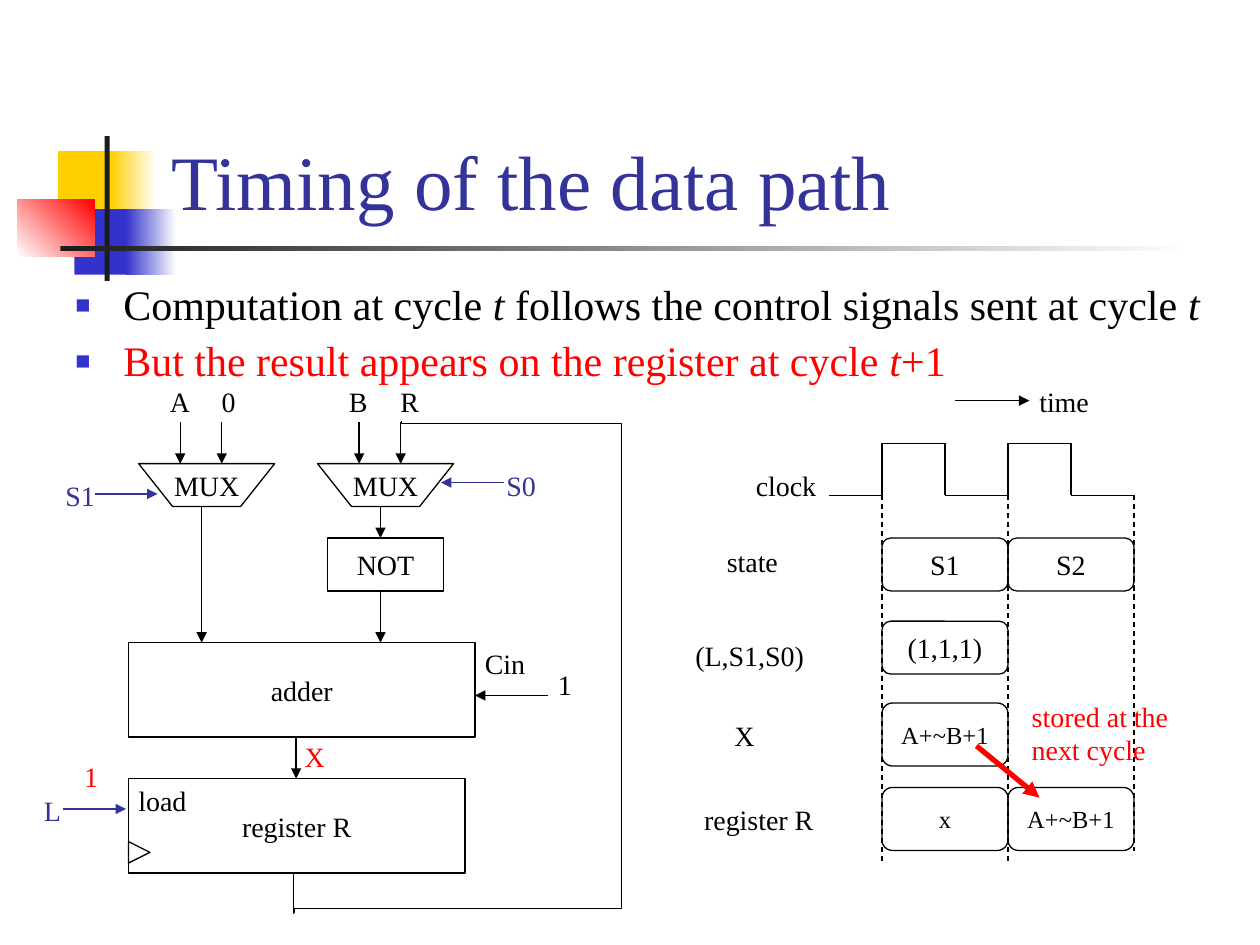
from dataclasses import dataclass
from lxml.etree import SubElement
from pptx import Presentation
from pptx.dml.color import RGBColor
from pptx.enum.dml import MSO_LINE
from pptx.enum.shapes import MSO_CONNECTOR, MSO_SHAPE
from pptx.enum.text import MSO_ANCHOR, MSO_AUTO_SIZE, PP_ALIGN
from pptx.oxml.ns import qn
from pptx.util import Emu, Pt

SCALE = 9144
SPARE = 6


@dataclass(frozen=True)
class Theme:
    font: str = "Times New Roman"
    black: str = "000000"
    white: str = "FFFFFF"
    navy: str = "333399"
    blue: str = "3333CC"
    red: str = "FF0000"
    gold: str = "FFCF01"
    dark: str = "1C1C1C"
    title: int = 44
    body: int = 24
    label: int = 16
    small: int = 14
    thin: float = 0.75
    thick: float = 3


THEME = Theme()


def px(*nums):
    return [Emu(num * SCALE) for num in nums]


def rgb(code):
    return RGBColor.from_string(code)


def add_run(para, text, size, color, slant=False):
    run = para.add_run()
    run.text = text
    font = run.font
    font.name, font.size, font.italic = THEME.font, Pt(size), slant
    font.color.rgb = rgb(color)


def add_label(shapes, box, lines, color=THEME.black, size=THEME.label):
    left, top, width, high = box
    frame = shapes.add_textbox(*px(left, top, width + SPARE, high)).text_frame
    frame.word_wrap = True
    frame.auto_size = MSO_AUTO_SIZE.SHAPE_TO_FIT_TEXT
    for num, text in enumerate(lines):
        para = frame.add_paragraph() if num else frame.paragraphs[0]
        add_run(para, text, size, color)


def add_tag(shapes, left, top, width, text, color=THEME.black):
    add_label(shapes, (left, top, width, 37), [text], color)


def add_line(shapes, ends, color=THEME.black, width=THEME.thin,
             arrow=False, dash=False, kind=MSO_CONNECTOR.STRAIGHT):
    link = shapes.add_connector(kind, *px(*ends))
    link.line.color.rgb = rgb(color)
    link.line.width = Pt(width)
    if dash:
        link.line.dash_style = MSO_LINE.DASH
    props = link._element.spPr
    if arrow:
        SubElement(props.find(qn("a:ln")), qn("a:tailEnd"), type="triangle")
    SubElement(props, qn("a:effectLst"))
    return link


def add_loop(shapes, ends, turns):
    link = add_line(shapes, ends, kind=MSO_CONNECTOR.ELBOW)
    props = link._element.spPr
    props.find(qn("a:xfrm")).set("rot", "5400000")
    geom = props.find(qn("a:prstGeom"))
    geom.set("prst", "bentConnector5")
    guides = geom.find(qn("a:avLst"))
    for num, turn in enumerate(turns, 1):
        SubElement(guides, qn("a:gd"), name=f"adj{num}", fmla=f"val {turn}")


def style_box(shape, text="", size=THEME.label):
    shape.shadow.inherit = False
    shape.fill.background()
    shape.line.color.rgb = rgb(THEME.black)
    shape.line.width = Pt(THEME.thin)
    if text:
        frame = shape.text_frame
        frame.word_wrap = False
        frame.vertical_anchor = MSO_ANCHOR.MIDDLE
        para = frame.paragraphs[0]
        para.alignment = PP_ALIGN.CENTER
        add_run(para, text, size, THEME.black)


def add_box(shapes, box, text="", size=THEME.label, kind=MSO_SHAPE.RECTANGLE):
    shape = shapes.add_shape(kind, *px(*box))
    style_box(shape, text, size)
    return shape


def add_mux(shapes, left):
    pen = shapes.build_freeform(left, 368, SCALE)
    pen.add_line_segments([(left + 27, 402), (left + 81, 402), (left + 108, 368)])
    style_box(pen.convert_to_shape(), "MUX")


def add_block(shapes, box, first, last=None, angle=0):
    shape = shapes.add_shape(MSO_SHAPE.RECTANGLE, *px(*box))
    shape.shadow.inherit = False
    shape.line.fill.background()
    if last is None:
        shape.fill.solid()
        shape.fill.fore_color.rgb = rgb(first)
        return
    shape.fill.gradient()
    shape.fill.gradient_angle = angle
    for stop, color, spot in zip(shape.fill.gradient_stops, (first, last), (0, 1)):
        stop.color.rgb = rgb(color)
        stop.position = spot


def add_decor(shapes):
    t = THEME
    add_block(shapes, (46, 120, 48, 52), t.gold)
    add_block(shapes, (88, 120, 36, 52), t.gold, t.white)
    add_block(shapes, (59, 166, 46, 52), t.blue)
    add_block(shapes, (100, 166, 40, 52), t.blue, t.white)
    add_block(shapes, (14, 158, 61, 46), t.white, t.red, 45)
    add_block(shapes, (83, 108, 4, 115), t.dark)
    add_block(shapes, (48, 195, 900, 4), t.dark, t.white)


def add_title(shapes, text):
    frame = shapes.add_textbox(*px(126, 23, 852, 161)).text_frame
    frame.word_wrap = True
    frame.vertical_anchor = MSO_ANCHOR.BOTTOM
    add_run(frame.paragraphs[0], text, THEME.title, THEME.navy)


def add_body(shapes, items):
    frame = shapes.add_textbox(*px(50, 221, 929, 96)).text_frame
    frame.word_wrap = True
    for num, (color, runs) in enumerate(items):
        para = frame.add_paragraph() if num else frame.paragraphs[0]
        para.line_spacing = 0.9
        para.space_before = Pt(6 if num else 0)
        props = para._p.get_or_add_pPr()
        props.set("marL", str(38 * SCALE))
        props.set("indent", str(-38 * SCALE))
        tint = SubElement(props, qn("a:buClr"))
        SubElement(tint, qn("a:srgbClr"), val=THEME.blue)
        SubElement(props, qn("a:buSzPct"), val="60000")
        SubElement(props, qn("a:buFont"), typeface=THEME.font)
        SubElement(props, qn("a:buChar"), char="■")
        for text in runs:
            add_run(para, text, THEME.body, color, text == "t")


def add_path(shapes):
    for left, pair in ((110, "A0"), (252, "BR")):
        add_mux(shapes, left)
        for shift, back, name in zip((33, 66), (18, 10), pair):
            spot = left + shift
            add_line(shapes, (spot, 335, spot, 368), arrow=True)
            add_tag(shapes, spot - back, 300, 35, name)
    for ends in ((160, 402, 160, 510), (302, 402, 302, 427), (302, 468, 302, 510),
                 (435, 552, 377, 552), (235, 585, 235, 618)):
        add_line(shapes, ends, arrow=True)
    for box, text in (((260, 427, 92, 42), "NOT"), ((102, 510, 275, 75), "adder"),
                      ((102, 618, 267, 75), "register R")):
        add_box(shapes, box, text)
    add_box(shapes, (102, 668, 17, 17), kind=MSO_SHAPE.ISOSCELES_TRIANGLE).rotation = 90
    for tag in ((375, 508, 52, "Cin"), (433, 525, 31, "1"), (100, 617, 58, "load")):
        add_tag(shapes, *tag)
    add_line(shapes, (233, 692, 233, 725))
    add_loop(shapes, (81, 487, 471, 572), (400, -205500, 99200))
    for ends, tag in (((50, 642, 100, 642), (25, 625, 33, "L")),
                      ((75, 392, 125, 392), (42, 375, 43, "S1")),
                      ((400, 383, 350, 383), (392, 367, 43, "S0"))):
        add_line(shapes, ends, THEME.navy, arrow=True)
        add_tag(shapes, *tag, THEME.navy)


def add_wave(shapes):
    low, high = 393, 352
    spots = [(658, low)]
    for left in (700, 800):
        spots += [(left, low), (left, high), (left + 50, high), (left + 50, low)]
    spots.append((900, low))
    for start, end in zip(spots, spots[1:]):
        add_line(shapes, (*start, *end))


def add_chart(shapes):
    add_wave(shapes.add_group_shape().shapes)
    axis = shapes.add_group_shape().shapes
    add_line(axis, (758, 318, 817, 318), arrow=True)
    add_tag(axis, 815, 300, 59, "time")
    for left, end in ((700, 683), (800, 683), (900, 675)):
        add_line(shapes, (left, 393, left, end), dash=True)
    for tag in ((590, 367, 68, "clock"), (567, 427, 60, "state"),
                (542, 502, 106, "(L,S1,S0)"), (573, 565, 36, "X"),
                (549, 632, 107, "register R")):
        add_tag(shapes, *tag)
    for top, high, size, names in ((427, 42, THEME.label, ("S1", "S2")),
                                   (493, 42, THEME.label, ("(1,1,1)",)),
                                   (558, 50, THEME.small, ("A+~B+1",)),
                                   (625, 50, THEME.small, ("x", "A+~B+1"))):
        for col, name in enumerate(names):
            add_box(shapes, (700 + 100 * col, top, 100, high), name, size,
                    MSO_SHAPE.ROUNDED_RECTANGLE)


def add_notes(shapes):
    add_tag(shapes, 232, 582, 36, "X", THEME.red)
    add_tag(shapes, 57, 598, 31, "1", THEME.red)
    add_line(shapes, (775, 592, 825, 633), THEME.red, THEME.thick, arrow=True)
    add_label(shapes, (809, 550, 128, 64), ["stored at the", "next cycle"], THEME.red)


def main():
    deck = Presentation()
    deck.slide_width, deck.slide_height = px(1000, 750)
    shapes = deck.slides.add_slide(deck.slide_layouts[6]).shapes
    add_decor(shapes)
    add_title(shapes, "Timing of the data path")
    add_body(shapes, (
        (THEME.black, ("Computation at cycle ", "t",
                       " follows the control signals sent at cycle ", "t")),
        (THEME.red, ("But the result appears on the register at cycle ", "t", "+1")),
    ))
    add_path(shapes.add_group_shape().shapes)
    add_chart(shapes)
    add_notes(shapes)
    deck.save("out.pptx")


if __name__ == "__main__":
    main()
